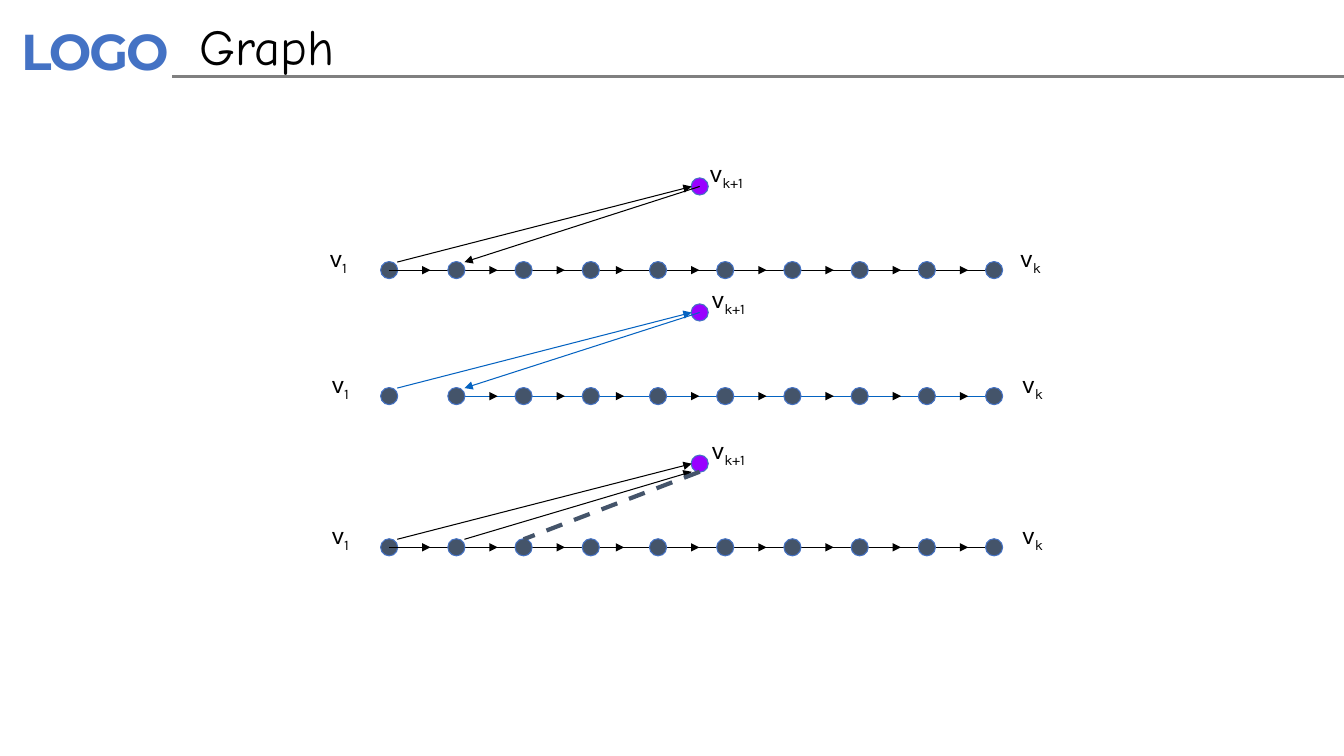
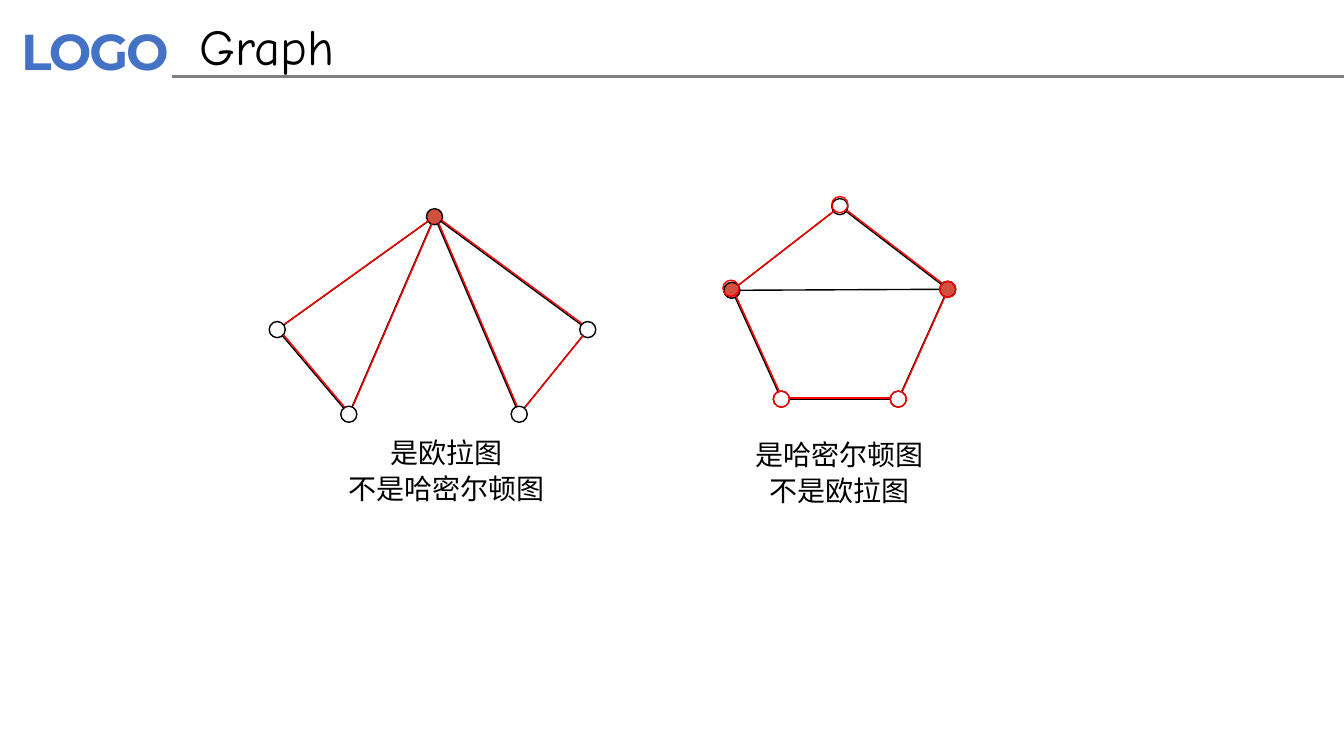
from math import hypot

from lxml.etree import SubElement
from pptx import Presentation
from pptx.dml.color import RGBColor
from pptx.enum.dml import MSO_LINE
from pptx.enum.shapes import MSO_CONNECTOR, MSO_SHAPE
from pptx.enum.text import MSO_ANCHOR, MSO_AUTO_SIZE, PP_ALIGN
from pptx.oxml.ns import qn
from pptx.util import Inches, Pt

BLACK, BLUE, GREY, SLATE = "000000", "4472C4", "808080", "44546A"
LINK_BLUE, PURPLE, RED, BRICK = "0563C1", "9900FF", "FF0000", "D54F41"
color = RGBColor.from_string


def draw_line(slide, start, end, stroke, weight=0.75, arrow=False):
    line = slide.shapes.add_connector(
        MSO_CONNECTOR.STRAIGHT, *(Inches(v) for v in (*start, *end)))
    line.line.color.rgb = color(stroke)
    line.line.width = Pt(weight)
    properties = line.element.spPr
    if arrow:
        SubElement(properties.find(qn("a:ln")), qn("a:tailEnd"), type="triangle")
    SubElement(properties, qn("a:effectLst"))
    return line


def draw_node(slide, center, size, fill, stroke, weight):
    """Draw a round vertex about its centre; fill None leaves it open."""
    x, y = center
    node = slide.shapes.add_shape(
        MSO_SHAPE.OVAL, Inches(x - size / 2), Inches(y - size / 2),
        Inches(size), Inches(size))
    node.shadow.inherit = False
    if fill:
        node.fill.solid()
        node.fill.fore_color.rgb = color(fill)
    else:
        node.fill.background()
    node.line.color.rgb = color(stroke)
    node.line.width = Pt(weight)


prs = Presentation()
prs.slide_width, prs.slide_height = Inches(13.33), Inches(7.5)
layout = prs.slide_layouts[5]
title_area = layout.placeholders[0]
title_area.left, title_area.top = Inches(1.88), Inches(0.1)
title_area.width, title_area.height = Inches(8.62), Inches(0.71)

path_slide, cycle_slide = slides = [prs.slides.add_slide(layout) for _ in range(2)]
for slide in slides:
    title = slide.shapes.title.text_frame
    title.text = "Graph"
    title.vertical_anchor = MSO_ANCHOR.TOP
    title.auto_size = MSO_AUTO_SIZE.NONE
    heading = title.paragraphs[0]
    heading.alignment = PP_ALIGN.LEFT
    heading.font.name, heading.font.size = "Comic Neue", Pt(36)
    heading.font.color.rgb = color(BLACK)

# Header shared through the layout
header = path_slide.shapes.add_textbox(
    Inches(0.08), Inches(0.13), Inches(1.86), Inches(0.74))
frame = header.text_frame
frame.word_wrap = True
frame.margin_left = frame.margin_right = Inches(0.13)
frame.margin_top = frame.margin_bottom = Inches(0.07)
wordmark = frame.paragraphs[0].add_run()
wordmark.text = "LOGO"
wordmark.font.name, wordmark.font.size = "Montserrat", Pt(36)
wordmark.font.bold = True
wordmark.font.color.rgb = color(BLUE)
wordmark._r.get_or_add_rPr().set("spc", "-150")
rule = draw_line(path_slide, (1.71, 0.76), (13.33, 0.76), GREY, 2)
for part in (header, rule):
    layout.shapes.element.append(part.element)

# Slide 1: three ways to attach a vertex to a path
STEP, RADIUS, RISE, APEX_X = 2 / 3, 0.08, 0.83, 6.94
vertices = [3.86 + i * STEP for i in range(10)]
# path height, first joined vertex, line colour, label shift
rows = [(2.68, 0, BLACK, 0), (3.93, 1, LINK_BLUE, 0.02), (5.43, 0, BLACK, 0.02)]
for row, (y, first, stroke, shift) in enumerate(rows):
    apex_y, node_top = y - RISE, y - RADIUS
    draw_node(path_slide, (vertices[0], y), 0.17, SLATE, BLUE, 0.75)
    draw_line(path_slide, (vertices[first], y), (vertices[-1], y), stroke)
    for x in vertices[1:]:
        draw_node(path_slide, (x, y), 0.17, SLATE, BLUE, 0.75)
    for i in range(first, 9):
        x = vertices[i] + (0.25 if i == 3 else 0.33)
        draw_line(path_slide, (x, y), (x + 0.08, y), BLACK, arrow=True)

    draw_node(path_slide, (APEX_X, apex_y), 0.17, PURPLE, BLUE, 0.75)
    draw_line(path_slide, (vertices[0] + RADIUS, node_top),
              (APEX_X - RADIUS, apex_y), stroke, arrow=True)
    second = (vertices[1] + RADIUS, node_top)
    if row < 2:
        draw_line(path_slide, (APEX_X, apex_y), second, stroke, arrow=True)
    else:
        draw_line(path_slide, second, (APEX_X - RADIUS, apex_y + RADIUS),
                  stroke, arrow=True)
        undecided = draw_line(path_slide, (APEX_X, apex_y + RADIUS),
                              (vertices[2], node_top), SLATE, 3)
        undecided.line.dash_style = MSO_LINE.DASH

    for index, x, top, width in [("1", 3.17, y - 0.33, 0.49),
                                 ("k", 10.02, y - 0.33, 0.48),
                                 ("k+1", 6.94, y - 1.17, 1)]:
        label = path_slide.shapes.add_textbox(
            Inches(x + shift), Inches(top), Inches(width), Inches(0.5)).text_frame
        label.word_wrap = index == "k+1"
        label.auto_size = MSO_AUTO_SIZE.SHAPE_TO_FIT_TEXT
        name = label.paragraphs[0]
        name.font.name, name.font.size = "Karla", Pt(18)
        name.font.color.rgb = color(BLACK)
        name.add_run().text = "v"
        subscript = name.add_run()
        subscript.text = index
        subscript._r.get_or_add_rPr().set("baseline", "-25000")

# Slide 2: an Eulerian graph beside a Hamiltonian one
bowtie = {"top": (4.31, 2.15), "left": (2.75, 3.27), "low left": (3.46, 4.11),
          "right": (5.83, 3.27), "low right": (5.15, 4.11)}
bowtie_edges = [("top", "left"), ("left", "low left"), ("low left", "top"),
                ("top", "right"), ("right", "low right"), ("low right", "top")]
pentagon = {"top": (8.33, 2.05), "left": (7.26, 2.88), "low left": (7.75, 3.96),
            "right": (9.4, 2.87), "low right": (8.91, 3.96)}
pentagon_rings = pentagon | {"top": (8.33, 2.03), "left": (7.25, 2.86)}
rim = [("top", "left"), ("left", "low left"), ("low left", "low right"),
       ("low right", "right"), ("right", "top")]

# vertices, edges, circles, filled vertices, line colour, offset of the tour
layers = [
    (bowtie, bowtie_edges, bowtie, ["top"], BLACK, 0),
    (pentagon, rim + [("left", "right")], pentagon, ["left", "right"], BLACK, 0),
    (pentagon, rim, pentagon_rings, [], RED, 0.01),
    (bowtie, bowtie_edges, {}, [], RED, 0.01),
]
for points, edges, circles, filled, stroke, offset in layers:
    for start, end in edges:
        (x1, y1), (x2, y2) = points[start], points[end]
        length = hypot(x2 - x1, y2 - y1)
        dx, dy = RADIUS * (x2 - x1) / length, RADIUS * (y2 - y1) / length
        draw_line(cycle_slide, (x1 + dx + offset, y1 + dy - offset),
                  (x2 - dx + offset, y2 - dy - offset), stroke, 1)
    for vertex, center in circles.items():
        draw_node(cycle_slide, center, 0.16,
                  BRICK if vertex in filled else None, stroke, 1)

captions = [(3.41, 4.39, 2.04, ["是欧拉图", "不是哈密尔顿图"]),
            (7.37, 4.41, 1.92, ["是哈密尔顿图", "不是欧拉图"])]
for x, y, width, lines in captions:
    caption = cycle_slide.shapes.add_textbox(
        Inches(x), Inches(y), Inches(width), Inches(0.8)).text_frame
    caption.word_wrap = True
    caption.margin_left = caption.margin_right = 0
    caption.margin_top = caption.margin_bottom = 0
    caption.text = "\n".join(lines)
    for paragraph in caption.paragraphs:
        paragraph.alignment = PP_ALIGN.CENTER
        paragraph.line_spacing = 0.8
        paragraph.space_before = Pt(6)
        paragraph.font.name, paragraph.font.size = "Times New Roman", Pt(20)
        paragraph.font.color.rgb = color(BLACK)

prs.save("out.pptx")
